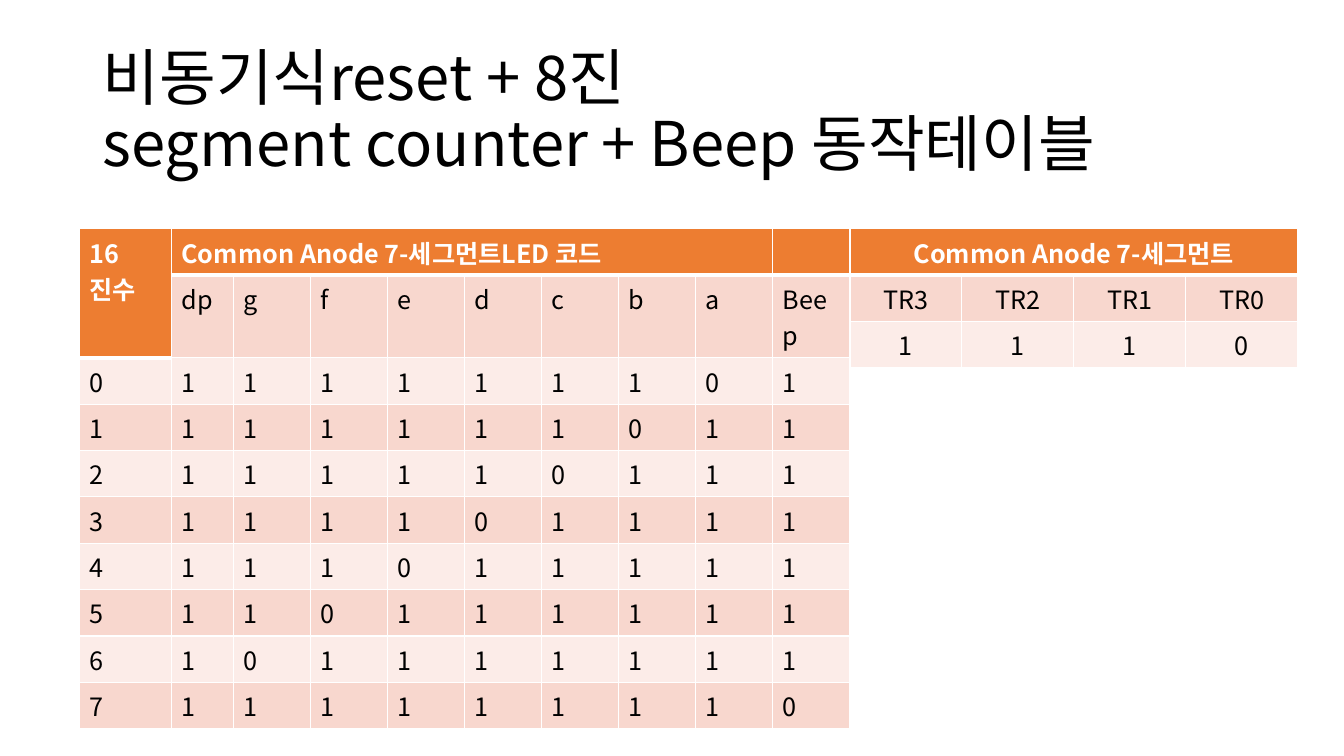
from lxml import etree
from pptx import Presentation
from pptx.dml.color import RGBColor
from pptx.enum.text import MSO_ANCHOR, PP_ALIGN
from pptx.oxml.ns import qn
from pptx.util import Inches, Pt

FONT = "Noto Sans CJK KR"
BLACK, WHITE, ORANGE = "000000", "FFFFFF", "ED7D31"
BANDS = ["F8D7CE", "FCECE8"]

TITLE = ["비동기식reset + 8진 ", "segment counter + Beep 동작테이블"]
SEGMENTS = ["dp", "g", "f", "e", "d", "c", "b", "a", "Beep"]
CODES = ["111111101", "111111011", "111110111", "111101111",
         "111011111", "110111111", "101111111", "111111110"]

COUNTER_ROWS = [
    ["16진수", "Common Anode 7-세그먼트LED 코드"] + [""] * 8,
    [""] + SEGMENTS,
    *[[str(number), *code] for number, code in enumerate(CODES)],
]
DIGIT_ROWS = [
    ["Common Anode 7-세그먼트", "", "", ""],
    ["TR3", "TR2", "TR1", "TR0"],
    list("1110"),
]
TABLE_TOP, ROW_HEIGHT, TWO_LINE_HEIGHT = 2.27, 0.46, 0.82
COUNTER_LEFT, COUNTER_WIDTH = 0.79, 7.64
NUMBER_WIDTH, DP_WIDTH = 0.91, 0.62
SEGMENT_WIDTH = (COUNTER_WIDTH - NUMBER_WIDTH - DP_WIDTH) / 8
DIGIT_WIDTH = 1.11


def color(value):
    return RGBColor.from_string(value)


def add_text(para, text, size, ink, bold=False):
    span = para.add_run()
    span.text = text
    span.font.name = FONT
    span.font.size = Pt(size)
    span.font.bold = bold
    span.font.color.rgb = color(ink)
    etree.SubElement(span.font._element, qn("a:ea"), typeface=FONT)


def add_border(cell, side, points):
    line = etree.SubElement(cell._tc.get_or_add_tcPr(), qn(f"a:ln{side}"), w=str(Pt(points)))
    fill = etree.SubElement(line, qn("a:solidFill"))
    etree.SubElement(fill, qn("a:srgbClr"), val=WHITE)


def add_grid(page, left, widths, heights, rows, merges, align):
    table = page.shapes.add_table(
        len(rows), len(widths), Inches(left), Inches(TABLE_TOP),
        Inches(sum(widths)), Inches(sum(heights))).table
    for column, width in zip(table.columns, widths):
        column.width = Inches(width)
    for row, height in zip(table.rows, heights):
        row.height = Inches(height)
    for first, last in merges:
        table.cell(*first).merge(table.cell(*last))

    def is_header(row, column):
        return row == 0 or (row == 1 and table.cell(row, column).is_spanned)

    for row, texts in enumerate(rows):
        for column, text in enumerate(texts):
            cell = table.cell(row, column)
            header = is_header(row, column)
            below_header = row > 0 and is_header(row - 1, column)
            for side, thick in (("L", False), ("R", False), ("T", below_header), ("B", header)):
                add_border(cell, side, 3 if thick else 1)
            cell.fill.solid()
            cell.fill.fore_color.rgb = color(ORANGE if header else BANDS[(row - 1) % 2])
            para = cell.text_frame.paragraphs[0]
            para.alignment = align
            if text:
                add_text(para, text, 18, WHITE if header else BLACK, header)


def add_title(page):
    box = page.shapes.add_textbox(Inches(0.92), Inches(0.4), Inches(11.5), Inches(1.45))
    frame = box.text_frame
    frame.word_wrap = True
    frame.vertical_anchor = MSO_ANCHOR.MIDDLE
    para = frame.paragraphs[0]
    para.line_spacing = 0.9
    for index, line in enumerate(TITLE):
        if index:
            para.add_line_break()
        add_text(para, line, 44, BLACK)


def main():
    """Build the segment counter truth table slide."""
    deck = Presentation()
    deck.slide_width, deck.slide_height = Inches(13.33), Inches(7.5)
    page = deck.slides.add_slide(deck.slide_layouts[6])
    add_title(page)
    add_grid(page, COUNTER_LEFT, [NUMBER_WIDTH, DP_WIDTH] + [SEGMENT_WIDTH] * 8,
             [ROW_HEIGHT, TWO_LINE_HEIGHT] + [ROW_HEIGHT] * len(CODES),
             COUNTER_ROWS, [((0, 0), (1, 0)), ((0, 1), (0, 8))], PP_ALIGN.LEFT)
    add_grid(page, COUNTER_LEFT + COUNTER_WIDTH, [DIGIT_WIDTH] * 4,
             [ROW_HEIGHT] * len(DIGIT_ROWS),
             DIGIT_ROWS, [((0, 0), (0, 3))], PP_ALIGN.CENTER)
    deck.save("out.pptx")


if __name__ == "__main__":
    main()
